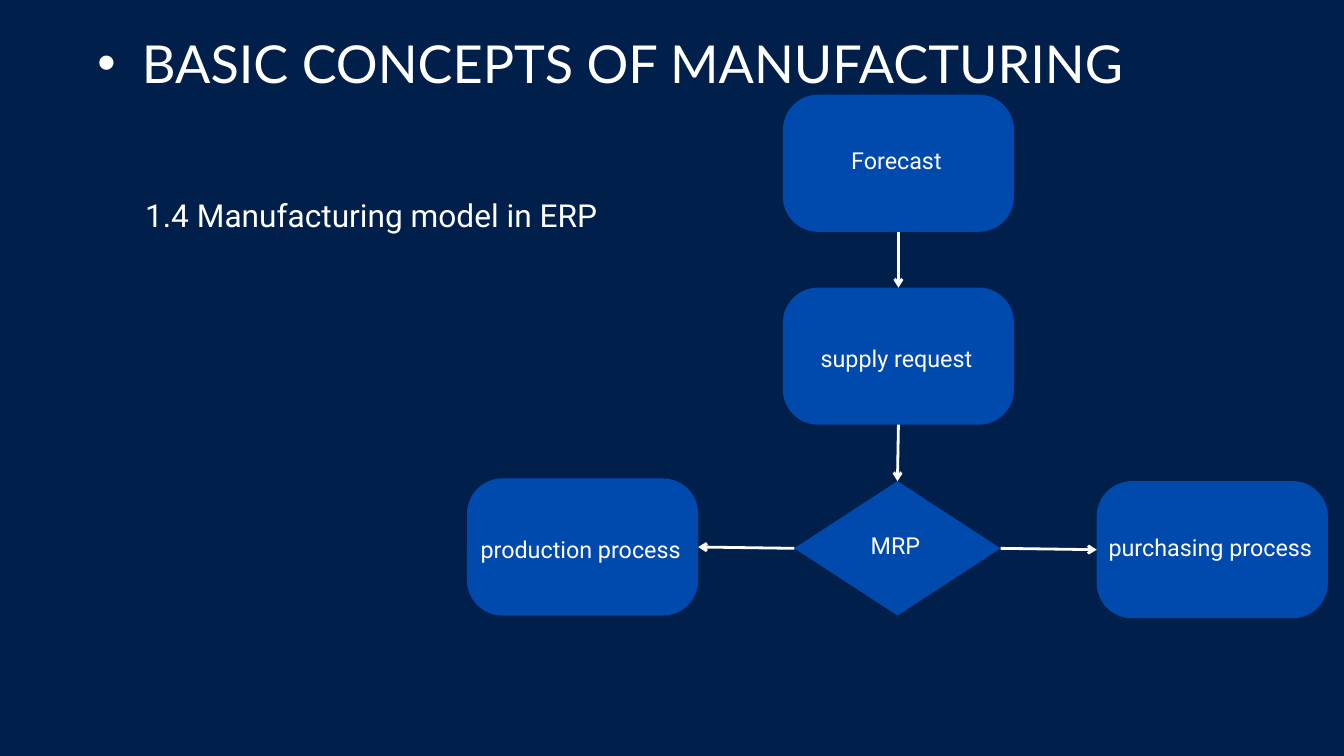
from dataclasses import dataclass

from lxml import etree
from pptx import Presentation
from pptx.dml.color import RGBColor
from pptx.enum.shapes import MSO_CONNECTOR, MSO_SHAPE
from pptx.enum.text import MSO_ANCHOR, MSO_AUTO_SIZE, PP_ALIGN
from pptx.oxml.ns import qn
from pptx.util import Inches, Pt

ROUNDED, DIAMOND = MSO_SHAPE.ROUNDED_RECTANGLE, MSO_SHAPE.DIAMOND
STRAIGHT = MSO_CONNECTOR.STRAIGHT
TOP, MIDDLE = MSO_ANCHOR.TOP, MSO_ANCHOR.MIDDLE
LEFT, CENTER = PP_ALIGN.LEFT, PP_ALIGN.CENTER
NO_AUTOFIT = MSO_AUTO_SIZE.NONE

# Connection sites shared by rounded rectangles and diamonds
SITE_TOP, SITE_LEFT, SITE_BOTTOM, SITE_RIGHT = range(4)


@dataclass(frozen=True)
class TextStyle:
    font: str
    size: float
    line_spacing: float


@dataclass(frozen=True)
class Theme:
    background: RGBColor = RGBColor(0x00, 0x20, 0x4B)
    node: RGBColor = RGBColor(0x00, 0x4A, 0xAD)
    light: RGBColor = RGBColor(0xFF, 0xFF, 0xFF)
    title: TextStyle = TextStyle("Lato", 56, 62.2)
    body: TextStyle = TextStyle("Roboto", 33.9, 52.1)
    label: TextStyle = TextStyle("Roboto", 25, 38.5)
    arrow_width: float = 3


THEME = Theme()
BOX_SIZE = (3.44, 2.04)
DIAMOND_SIZE = (3.07, 2)
CORNER_RATIO = 0.257

# name: (shape type, left, top, size, label, upward shift of the label)
NODES = {
    "forecast": (ROUNDED, 11.65, 1.41, BOX_SIZE, "Forecast", 0.1),
    "supply": (ROUNDED, 11.65, 4.28, BOX_SIZE, "supply request", 0.03),
    "mrp": (DIAMOND, 11.82, 7.16, DIAMOND_SIZE, "MRP", 0.1),
    "production": (ROUNDED, 6.95, 7.12, BOX_SIZE, "production process", 0.03),
    "purchasing": (ROUNDED, 16.32, 7.16, BOX_SIZE, "purchasing process", 0.1),
}

FLOWS = [
    ("forecast", SITE_BOTTOM, "supply", SITE_TOP),
    ("supply", SITE_BOTTOM, "mrp", SITE_TOP),
    ("mrp", SITE_LEFT, "production", SITE_RIGHT),
    ("mrp", SITE_RIGHT, "purchasing", SITE_LEFT),
]


def write_text(frame, text, style, alignment, anchor, insets=(0, 0, 0, 0), wrap=True):
    """Write one styled line; insets are left, top, right, bottom."""
    frame.auto_size = NO_AUTOFIT
    frame.word_wrap = wrap
    frame.vertical_anchor = anchor
    frame.margin_left, frame.margin_top, frame.margin_right, frame.margin_bottom = (
        Inches(inset) for inset in insets
    )
    paragraph = frame.paragraphs[0]
    paragraph.alignment = alignment
    paragraph.line_spacing = Pt(style.line_spacing)
    paragraph.space_before = Pt(0)
    run = paragraph.add_run()
    run.text = text
    run.font.name = style.font
    run.font.size = Pt(style.size)
    run.font.color.rgb = THEME.light
    return paragraph


def set_bullet(paragraph, character=None, indent=0, hanging=0):
    """Give the paragraph a bullet, or remove the inherited one."""
    properties = paragraph._p.get_or_add_pPr()
    properties.set("marL", str(Inches(indent)))
    properties.set("indent", str(-Inches(hanging)))
    if character:
        font = etree.SubElement(properties, qn("a:buFont"))
        font.set("typeface", "Arial")
        etree.SubElement(properties, qn("a:buChar")).set("char", character)
    else:
        etree.SubElement(properties, qn("a:buNone"))


def fill_placeholder(placeholder, box, text, style):
    placeholder.left, placeholder.top, placeholder.width, placeholder.height = (
        Inches(length) for length in box
    )
    return write_text(placeholder.text_frame, text, style, LEFT, TOP)


def add_node(slide, kind, left, top, size, label, rise):
    width, height = size
    shape = slide.shapes.add_shape(
        kind, Inches(left), Inches(top), Inches(width), Inches(height)
    )
    shape.shadow.inherit = False
    shape.fill.solid()
    shape.fill.fore_color.rgb = THEME.node
    shape.line.fill.background()
    if kind == ROUNDED:
        shape.adjustments[0] = CORNER_RATIO
    insets = (0, 0, 0.06, 2 * rise)
    write_text(shape.text_frame, label, THEME.label, CENTER, MIDDLE, insets, wrap=False)
    return shape


def add_arrow(slide, source, source_site, target, target_site):
    connector = slide.shapes.add_connector(STRAIGHT, 0, 0, 0, 0)
    connector.begin_connect(source, source_site)
    connector.end_connect(target, target_site)
    connector.line.color.rgb = THEME.light
    connector.line.width = Pt(THEME.arrow_width)
    line = connector.line._get_or_add_ln()
    etree.SubElement(line, qn("a:tailEnd")).set("type", "arrow")
    etree.SubElement(connector._element.spPr, qn("a:effectLst"))


def main():
    presentation = Presentation()
    presentation.slide_width = Inches(20)
    presentation.slide_height = Inches(11.25)
    slide = presentation.slides.add_slide(presentation.slide_layouts[1])
    slide.background.fill.solid()
    slide.background.fill.fore_color.rgb = THEME.background

    # Title and section heading
    title = fill_placeholder(
        slide.shapes.title, (0.79, 0.53, 17.67, 0.88),
        "BASIC CONCEPTS OF MANUFACTURING", THEME.title,
    )
    set_bullet(title, "•", indent=1.32, hanging=0.66)
    heading = fill_placeholder(
        slide.placeholders[1], (2.16, 2.76, 7.84, 0.69),
        "1.4 Manufacturing model in ERP", THEME.body,
    )
    set_bullet(heading)

    # Flowchart
    nodes = {name: add_node(slide, *node) for name, node in NODES.items()}
    for source, source_site, target, target_site in FLOWS:
        add_arrow(slide, nodes[source], source_site, nodes[target], target_site)

    presentation.save("out.pptx")


if __name__ == "__main__":
    main()
